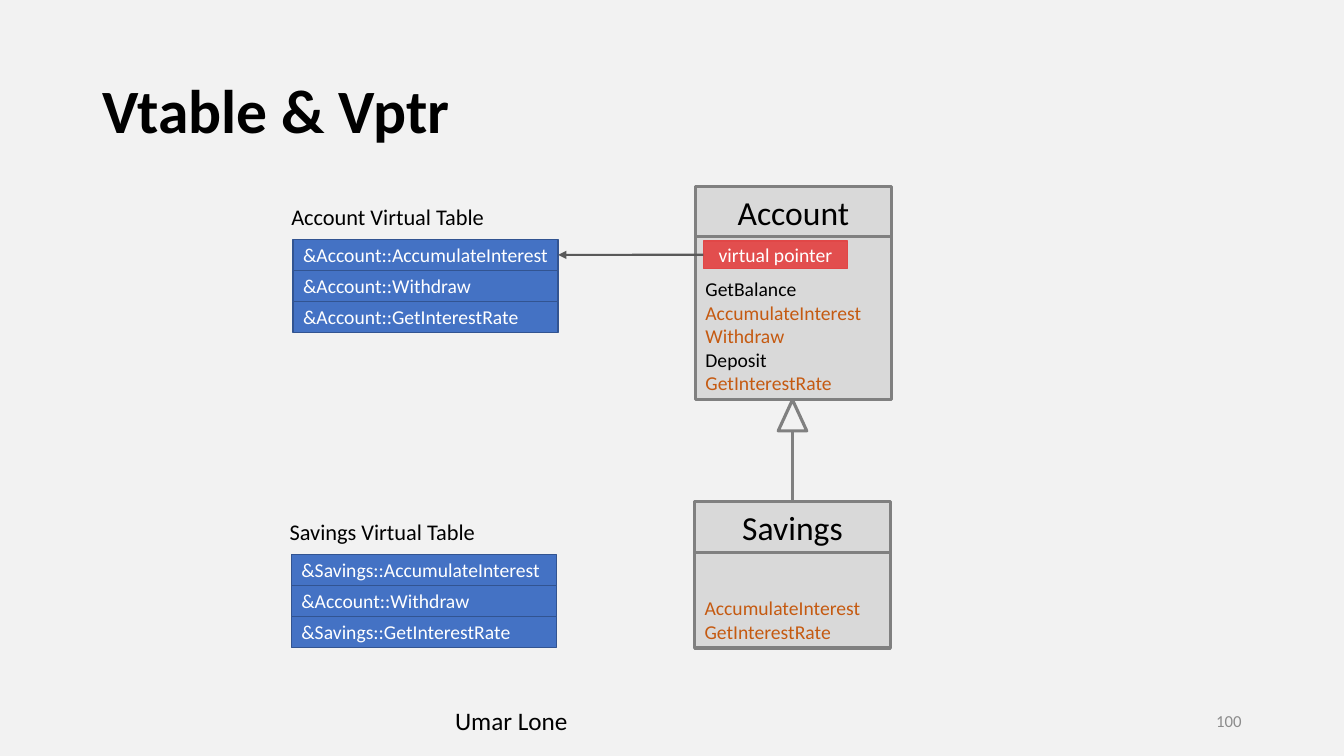
from dataclasses import dataclass

from lxml.etree import SubElement
from pptx import Presentation
from pptx.dml.color import RGBColor
from pptx.enum.shapes import MSO_CONNECTOR, MSO_SHAPE
from pptx.enum.text import MSO_ANCHOR, PP_ALIGN
from pptx.oxml.ns import qn
from pptx.util import Inches, Pt

COLUMNS = 32
SLIDE_WIDTH, SLIDE_HEIGHT = Inches(13.333), Inches(7.5)
CELL = SLIDE_WIDTH / COLUMNS


@dataclass(frozen=True)
class Theme:
    font: str = "Calibri"
    background: str = "F2F2F2"
    ink: str = "000000"
    inverse: str = "FFFFFF"
    virtual: str = "C55A11"
    muted: str = "8C8C8C"
    class_fill: str = "D9D9D9"
    class_line: str = "808080"
    vtable_fill: str = "4472C4"
    vtable_line: str = "325491"
    vptr_fill: str = "E24E4E"
    vptr_line: str = "E14747"
    arrow: str = "595959"
    title_size: int = 44
    class_size: int = 24
    footer_size: int = 18
    label_size: int = 16
    body_size: int = 14
    number_size: int = 12
    thin: float = 1
    medium: float = 1.5
    thick: float = 2.25


@dataclass(frozen=True)
class Box:
    """A rectangle measured in grid cells."""
    left: float
    top: float
    width: float
    height: float

    @property
    def bottom(self):
        return self.top + self.height

    @property
    def center(self):
        return self.left + self.width / 2

    def emu(self):
        return [cells(v) for v in (self.left, self.top, self.width, self.height)]


THEME = Theme()


def cells(count):
    return round(count * CELL)


def color(value):
    return RGBColor.from_string(value)


def write(holder, lines, size, anchor, align=PP_ALIGN.LEFT, bold=False, spacing=None):
    """Fill a shape with (text, colour) lines, one paragraph each."""
    frame = holder.text_frame
    frame.word_wrap = True
    frame.vertical_anchor = anchor
    for index, (text, ink) in enumerate(lines):
        paragraph = frame.paragraphs[0] if index == 0 else frame.add_paragraph()
        paragraph.alignment = align
        paragraph.line_spacing = spacing
        run = paragraph.add_run()
        run.text = text
        run.font.name = THEME.font
        run.font.size = Pt(size)
        run.font.bold = bold
        run.font.color.rgb = color(ink)


def add_label(slide, box, text, size, ink=THEME.ink, anchor=MSO_ANCHOR.TOP, **style):
    label = slide.shapes.add_textbox(*box.emu())
    write(label, [(text, ink)], size, anchor, **style)


def add_block(slide, box, fill, line, weight, kind=MSO_SHAPE.RECTANGLE):
    block = slide.shapes.add_shape(kind, *box.emu())
    block.shadow.inherit = False
    if fill:
        block.fill.solid()
        block.fill.fore_color.rgb = color(fill)
    else:
        block.fill.background()
    block.line.color.rgb = color(line)
    block.line.width = Pt(weight)
    return block


def add_line(slide, start, end, ink, weight):
    points = [cells(v) for v in (*start, *end)]
    line = slide.shapes.add_connector(MSO_CONNECTOR.STRAIGHT, *points)
    line.line.color.rgb = color(ink)
    line.line.width = Pt(weight)
    SubElement(line._element.spPr, qn("a:effectLst"))
    return line


def add_class(slide, box, name, methods):
    """Draw a class box and return its heading."""
    head_box = Box(box.left, box.top, box.width, 1.2)
    body_box = Box(box.left, head_box.bottom, box.width, box.height - head_box.height)
    head, body = [add_block(slide, part, THEME.class_fill, THEME.class_line, THEME.thick)
                  for part in (head_box, body_box)]
    write(head, [(name, THEME.ink)], THEME.class_size, MSO_ANCHOR.MIDDLE, PP_ALIGN.CENTER)
    write(body, methods, THEME.body_size, MSO_ANCHOR.BOTTOM)
    return head


def add_vtable(slide, box, name, entries):
    """Draw a captioned virtual table and return its rows."""
    add_label(slide, Box(box.left - 0.28, box.top - 0.97, 5.2, 0.89),
              f"{name} Virtual Table", THEME.label_size)
    row_height = box.height / len(entries)
    rows = []
    for index, entry in enumerate(entries):
        row_box = Box(box.left, box.top + index * row_height, box.width, row_height)
        row = add_block(slide, row_box, THEME.vtable_fill, THEME.vtable_line, THEME.thin)
        write(row, [(entry, THEME.inverse)], THEME.body_size, MSO_ANCHOR.MIDDLE)
        rows.append(row)
    return rows


def add_virtual_pointer(slide, class_box, target_row):
    box = Box(class_box.left + 0.19, class_box.top + 1.3, 3.43, 0.65)
    pointer = add_block(slide, box, THEME.vptr_fill, THEME.vptr_line, THEME.thin)
    write(pointer, [("virtual pointer", THEME.inverse)], THEME.body_size,
          MSO_ANCHOR.MIDDLE, PP_ALIGN.CENTER)
    start = (box.left, box.top)
    arrow = add_line(slide, start, start, THEME.arrow, THEME.medium)
    arrow.begin_connect(pointer, 1)
    arrow.end_connect(target_row, 3)
    SubElement(arrow.line._get_or_add_ln(), qn("a:tailEnd"), type="triangle")


def add_inheritance(slide, base_box, derived_box, derived_head):
    center = derived_box.center
    tip = Box(center - 0.34, base_box.bottom, 0.68, 0.74)
    add_block(slide, tip, None, THEME.class_line, THEME.thick, MSO_SHAPE.ISOSCELES_TRIANGLE)
    stem = add_line(slide, (center, derived_box.top), (center, tip.bottom),
                    THEME.class_line, THEME.thick)
    stem.begin_connect(derived_head, 0)


def add_footer(slide, box):
    add_label(slide, Box(box.left, box.top, 10.8, box.height), "Umar Lone", THEME.footer_size)
    add_label(slide, Box(box.left + 12, box.top, 7.2, box.height), "100", THEME.number_size,
              THEME.muted, MSO_ANCHOR.MIDDLE, align=PP_ALIGN.RIGHT)


def build_vtable_slide(slide):
    slide.background.fill.solid()
    slide.background.fill.fore_color.rgb = color(THEME.background)
    add_label(slide, Box(2.2, 0.96, 27.6, 3.48), "Vtable & Vptr", THEME.title_size,
              anchor=MSO_ANCHOR.MIDDLE, bold=True, spacing=0.9)

    account_box = Box(16.56, 4.44, 4.66, 5.08)
    savings_box = Box(16.54, 11.95, 4.66, 3.48)
    add_class(slide, account_box, "Account", [
        ("GetBalance", THEME.ink),
        ("AccumulateInterest Withdraw", THEME.virtual),
        ("Deposit", THEME.ink),
        ("GetInterestRate", THEME.virtual)])
    account_rows = add_vtable(slide, Box(6.98, 5.7, 6.31, 2.22), "Account", [
        "&Account::AccumulateInterest", "&Account::Withdraw", "&Account::GetInterestRate"])
    savings_head = add_class(slide, savings_box, "Savings", [
        ("AccumulateInterest", THEME.virtual), ("GetInterestRate", THEME.virtual)])
    add_vtable(slide, Box(6.94, 13.2, 6.31, 2.22), "Savings", [
        "&Savings::AccumulateInterest", "&Account::Withdraw", "&Savings::GetInterestRate"])
    add_inheritance(slide, account_box, savings_box, savings_head)
    add_virtual_pointer(slide, account_box, account_rows[0])
    add_footer(slide, Box(10.6, 16.68, 19.2, 0.96))


def main():
    deck = Presentation()
    deck.slide_width, deck.slide_height = SLIDE_WIDTH, SLIDE_HEIGHT
    build_vtable_slide(deck.slides.add_slide(deck.slide_layouts[6]))
    deck.save("out.pptx")


if __name__ == "__main__":
    main()
